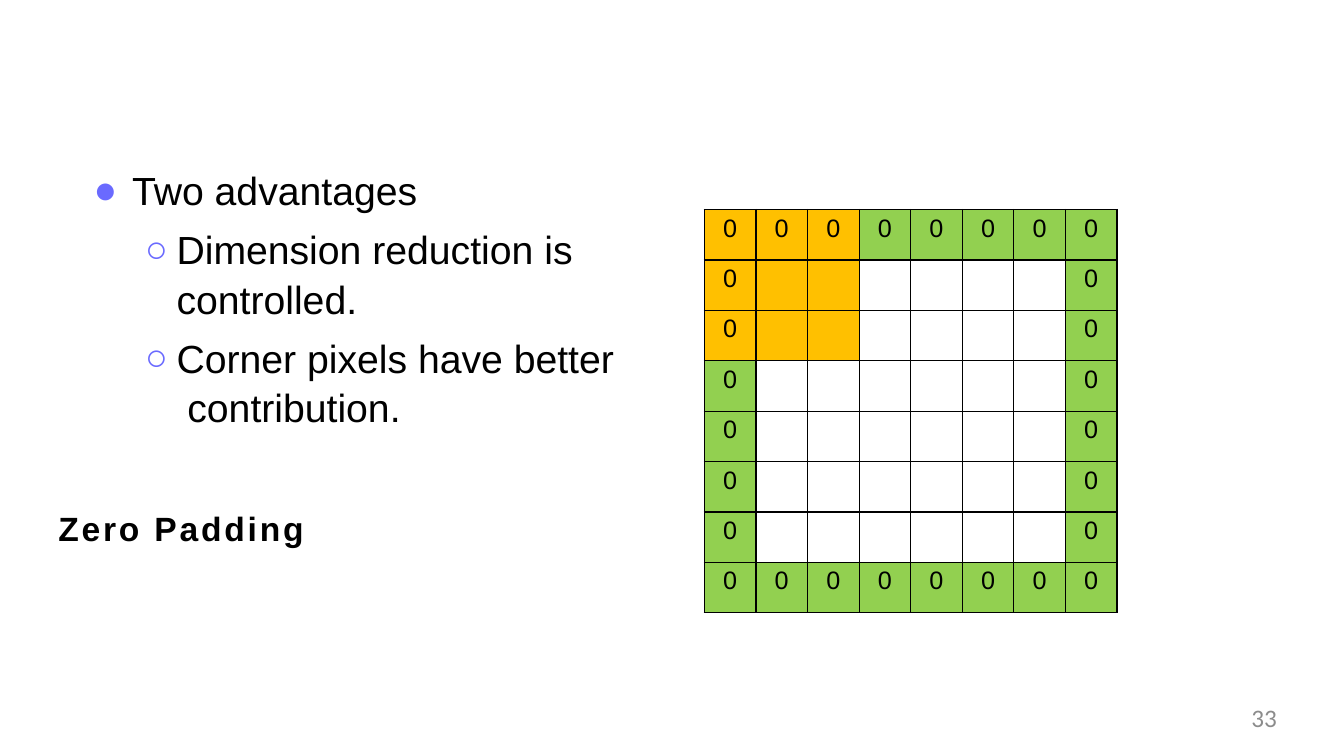
"""Build the zero padding slide: advantages on the left, padded pixel grid on the right."""
from dataclasses import dataclass

from lxml.etree import SubElement
from pptx import Presentation
from pptx.dml.color import RGBColor
from pptx.enum.text import MSO_ANCHOR as Anchor, PP_ALIGN as Align
from pptx.oxml import parse_xml
from pptx.oxml.ns import nsdecls, qn
from pptx.util import Cm, Pt

GRID_SIZE = 8
KERNEL_SIZE = 3
COLUMN_WIDTH = 1.3
ROW_HEIGHT = 1.27
BLACK = "000000"
KERNEL_COLOR = "FFC000"
PADDING_COLOR = "92D050"
BULLET_COLOR = "6A6AFF"


@dataclass(frozen=True)
class Advantage:
    text: str
    level: int
    bullet: str
    bullet_percent: int
    indent: float
    hanging: float
    space_before: float


ADVANTAGES = (
    Advantage("Two advantages", 0, "●", 100, 0.99, 0.97, 0),
    Advantage("Dimension reduction is  controlled.", 1, "○", 96, 2.11, 0.79, 6.8),
    Advantage("Corner pixels have better  contribution.", 1, "○", 96, 2.11, 0.79, 6.8),
)


def color(hex_code: str) -> RGBColor:
    """Turn a hex string into a colour."""
    return RGBColor.from_string(hex_code)


def write(paragraph, text: str, *, size: float, font: str = "Arial", ink: str = BLACK,
          bold: bool = False, align: Align = Align.LEFT, tracking: float = 0) -> None:
    """Add a formatted run to a paragraph."""
    paragraph.alignment = align
    run = paragraph.add_run()
    run.text = text
    run.font.name = font
    run.font.size = Pt(size)
    run.font.bold = bold
    run.font.color.rgb = color(ink)
    if tracking:
        run.font._element.set("spc", str(round(tracking * 100)))


def prepare(shape, left: float, top: float, width: float, height: float,
            inset_top: float = 0):
    """Place a text shape, set its insets and return its text frame."""
    shape.left, shape.top, shape.width, shape.height = map(Cm, (left, top, width, height))
    frame = shape.text_frame
    frame.word_wrap = True
    frame.vertical_anchor = Anchor.TOP
    frame.margin_left = frame.margin_right = frame.margin_bottom = 0
    frame.margin_top = Cm(inset_top)
    return frame


def add_box(slide):
    """Add an empty text box."""
    return slide.shapes.add_textbox(0, 0, 0, 0)


def add_bullet(paragraph, advantage: Advantage) -> None:
    """Give a paragraph its hanging bullet."""
    properties = paragraph._p.get_or_add_pPr()
    properties.set("marL", str(Cm(advantage.indent)))
    properties.set("indent", str(-Cm(advantage.hanging)))
    tint = SubElement(properties, qn("a:buClr"))
    SubElement(tint, qn("a:srgbClr"), val=BULLET_COLOR)
    SubElement(properties, qn("a:buSzPct"), val=str(advantage.bullet_percent * 1000))
    SubElement(properties, qn("a:buFont"), typeface="Arial")
    SubElement(properties, qn("a:buChar"), char=advantage.bullet)


def add_advantages(slide) -> None:
    """Write the bulleted advantages."""
    frame = prepare(add_box(slide), 2.34, 3.86, 13.28, 6.71, 0.28)
    for index, advantage in enumerate(ADVANTAGES):
        paragraph = frame.add_paragraph() if index else frame.paragraphs[0]
        paragraph.level = advantage.level
        add_bullet(paragraph, advantage)
        paragraph.line_spacing = 1.05
        paragraph.space_before = Pt(advantage.space_before)
        write(paragraph, advantage.text, size=28)


def add_borders(cell) -> None:
    """Draw a thin black line on every side of a cell."""
    properties = cell._tc.get_or_add_tcPr()
    for position, side in enumerate("LRTB"):
        properties.insert(position, parse_xml(
            f'<a:ln{side} {nsdecls("a")} w="{Pt(1)}"><a:solidFill>'
            f'<a:srgbClr val="{BLACK}"/></a:solidFill></a:ln{side}>'))


def add_pixel_grid(slide) -> None:
    """Draw the pixel grid with its zero border and the kernel in the corner."""
    grid = slide.shapes.add_table(
        GRID_SIZE, GRID_SIZE, Cm(17.75), Cm(5.28),
        Cm(GRID_SIZE * COLUMN_WIDTH), Cm(GRID_SIZE * ROW_HEIGHT)).table
    grid.first_row = grid.horz_banding = False
    for index in range(GRID_SIZE):
        grid.columns[index].width = Cm(COLUMN_WIDTH)
        grid.rows[index].height = Cm(ROW_HEIGHT)
    edges = (0, GRID_SIZE - 1)
    for position, cell in enumerate(grid.iter_cells()):
        row, column = divmod(position, GRID_SIZE)
        is_padding = row in edges or column in edges
        is_kernel = max(row, column) < KERNEL_SIZE
        cell.margin_left = cell.margin_right = cell.margin_bottom = 0
        cell.margin_top = Cm(0.12)
        if is_kernel or is_padding:
            cell.fill.solid()
            cell.fill.fore_color.rgb = color(KERNEL_COLOR if is_kernel else PADDING_COLOR)
        else:
            cell.fill.background()
        if is_padding:
            write(cell.text_frame.paragraphs[0], "0", size=18, align=Align.CENTER)
        add_borders(cell)


def main() -> None:
    """Build and save the slide."""
    deck = Presentation()
    deck.slide_width, deck.slide_height = Cm(33.87), Cm(19.05)
    slide = deck.slides.add_slide(deck.slide_layouts[5])
    heading = prepare(slide.shapes.title, 1.47, 12.7, 9.3, 1.75, 0.1)
    write(heading.paragraphs[0], "Zero Padding", size=24, bold=True, tracking=2)
    add_advantages(slide)
    add_pixel_grid(slide)
    page_number = prepare(add_box(slide), 24.38, 17.7, 7.8, 0.76)
    write(page_number.paragraphs[0], "33", size=18, font="Calibri", ink="8C8C8C",
          align=Align.RIGHT)
    deck.save("out.pptx")


if __name__ == "__main__":
    main()
